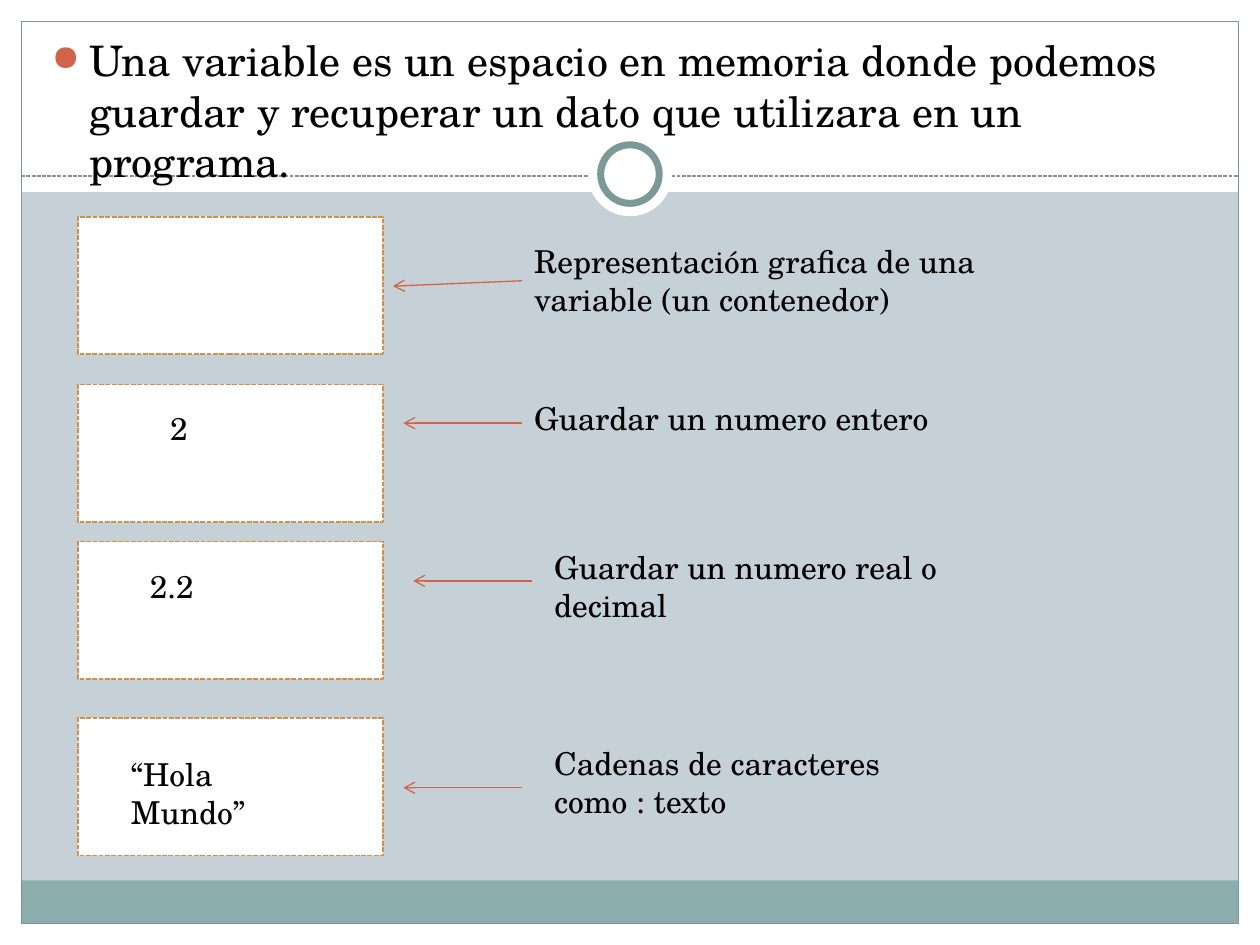
from dataclasses import dataclass
from typing import Optional

from lxml import etree
from pptx import Presentation
from pptx.dml.color import RGBColor
from pptx.enum import dml, shapes, text
from pptx.oxml import ns
from pptx.util import Cm, Pt

WHITE = RGBColor(0xFF, 0xFF, 0xFF)
BLACK = RGBColor(0, 0, 0)
BACKGROUND = RGBColor(0xC5, 0xD1, 0xD7)
TEAL = RGBColor(0x8C, 0xAD, 0xAE)
DARK_TEAL = RGBColor(0x7C, 0x99, 0x9A)
ORANGE = RGBColor(0xD1, 0x90, 0x49)
RED = RGBColor(0xD1, 0x63, 0x49)
FONT = "TeX Gyre Schola"

WIDTH, HEIGHT, MARGIN = 25.4, 19.05, 0.43
BOX_LEFT, BOX_WIDTH, BOX_HEIGHT = 1.57, 6.15, 2.77
RECTANGLE = shapes.MSO_SHAPE.RECTANGLE
OVAL = shapes.MSO_SHAPE.OVAL


@dataclass
class Area:
    left: float
    top: float
    width: float
    height: float

    def lengths(self) -> tuple:
        return Cm(self.left), Cm(self.top), Cm(self.width), Cm(self.height)


@dataclass
class Arrow:
    start_x: float
    start_y: float
    end_x: float
    end_y: float


@dataclass
class Variable:
    box_top: float
    label: str
    label_area: Area
    arrow: Arrow
    value: str = ""
    value_area: Optional[Area] = None


VARIABLES = [
    Variable(4.37, "Representación grafica de una variable (un contenedor)",
             Area(10.52, 4.75, 11.91, 1.8), Arrow(10.52, 5.66, 7.92, 5.77)),
    Variable(7.75, "Guardar un numero entero",
             Area(10.52, 7.92, 10.11, 1.02), Arrow(10.52, 8.53, 8.13, 8.53),
             "2", Area(3.18, 8.13, 2.97, 1.02)),
    Variable(10.92, "Guardar un numero real o decimal",
             Area(10.92, 10.92, 9.32, 1.8), Arrow(10.72, 11.71, 8.33, 11.71),
             "2.2", Area(2.77, 11.3, 3.38, 1.02)),
    Variable(14.48, "Cadenas de caracteres como : texto",
             Area(10.92, 14.88, 7.54, 1.8), Arrow(10.52, 15.88, 8.13, 15.88),
             "“Hola Mundo”", Area(2.39, 15.09, 3.96, 1.8)),
]

presentation = Presentation()
presentation.slide_width, presentation.slide_height = Cm(WIDTH), Cm(HEIGHT)
slide = presentation.slides.add_slide(presentation.slide_layouts[6])
slide.background.fill.solid()
slide.background.fill.fore_color.rgb = BACKGROUND


def style_line(line, color: RGBColor, width: float, dashed: bool = False) -> None:
    line.color.rgb = color
    line.width = Pt(width)
    if dashed:
        line.dash_style = dml.MSO_LINE.SQUARE_DOT


def add_shape(kind, area: Area, fill: Optional[RGBColor] = None,
              line: Optional[RGBColor] = None, width: float = 0.75,
              dashed: bool = False) -> None:
    shape = slide.shapes.add_shape(kind, *area.lengths())
    shape.shadow.inherit = False
    if fill is None:
        shape.fill.background()
    else:
        shape.fill.solid()
        shape.fill.fore_color.rgb = fill
    if line is None:
        shape.line.fill.background()
    else:
        style_line(shape.line, line, width, dashed)


def add_line(ends: Arrow, color: RGBColor, dashed: bool = False,
             arrowhead: bool = False) -> None:
    connector = slide.shapes.add_connector(
        shapes.MSO_CONNECTOR.STRAIGHT, Cm(ends.start_x), Cm(ends.start_y),
        Cm(ends.end_x), Cm(ends.end_y))
    style_line(connector.line, color, 0.75, dashed)
    if arrowhead:
        line_element = connector.line._get_or_add_ln()
        etree.SubElement(line_element, ns.qn("a:tailEnd"), type="arrow")
    etree.SubElement(connector._element.spPr, ns.qn("a:effectLst"))


def add_text(content: str, area: Area, size: int):
    frame = slide.shapes.add_textbox(*area.lengths()).text_frame
    frame.word_wrap = True
    frame.auto_size = text.MSO_AUTO_SIZE.NONE
    paragraph = frame.paragraphs[0]
    run = paragraph.add_run()
    run.text = content
    run.font.name, run.font.size = FONT, Pt(size)
    run.font.color.rgb = BLACK
    return paragraph


def add_bullet(paragraph, color: RGBColor) -> None:
    properties = paragraph._p.get_or_add_pPr()
    properties.set("marL", str(Cm(0.76)))
    properties.set("indent", str(-Cm(0.76)))
    bullet_color = etree.SubElement(properties, ns.qn("a:buClr"))
    etree.SubElement(bullet_color, ns.qn("a:srgbClr"), val=str(color))
    etree.SubElement(properties, ns.qn("a:buSzPct"), val="85000")
    etree.SubElement(properties, ns.qn("a:buChar"), char="●")


# White margins, header and footer band
inner_width = WIDTH - 2 * MARGIN
for margin_area in (Area(0, HEIGHT - MARGIN, WIDTH, MARGIN),
                    Area(0, 0, WIDTH, 3.87),
                    Area(0, 0, MARGIN, HEIGHT),
                    Area(WIDTH - MARGIN, 0, MARGIN, HEIGHT)):
    add_shape(RECTANGLE, margin_area, WHITE)
add_shape(RECTANGLE, Area(MARGIN, 17.75, inner_width, 0.87), TEAL)

# Frame, dashed divider and ring
add_shape(RECTANGLE, Area(MARGIN, MARGIN, inner_width, HEIGHT - 2 * MARGIN), line=DARK_TEAL)
add_line(Arrow(MARGIN, 3.55, WIDTH - MARGIN, 3.55), DARK_TEAL, dashed=True)
for diameter, ring_color in ((1.7, None), (1.18, DARK_TEAL)):
    add_shape(OVAL, Area((WIDTH - diameter) / 2, 3.51 - diameter / 2, diameter, diameter),
              WHITE, ring_color, 4)

# Definition
definition = add_text(
    "Una variable es un espacio en memoria donde podemos guardar y recuperar "
    "un dato que utilizara en un programa.", Area(0.79, 0.58, 23.62, 17.48), 24)
definition.space_before = Pt(4.8)
add_bullet(definition, RED)

# Variables: container, value, arrow and label
for variable in VARIABLES:
    add_shape(RECTANGLE, Area(BOX_LEFT, variable.box_top, BOX_WIDTH, BOX_HEIGHT),
              WHITE, ORANGE, 0.9, dashed=True)
    add_text(variable.label, variable.label_area, 18)
    add_line(variable.arrow, RED, arrowhead=True)
    if variable.value_area:
        add_text(variable.value, variable.value_area, 18)

presentation.save("out.pptx")
